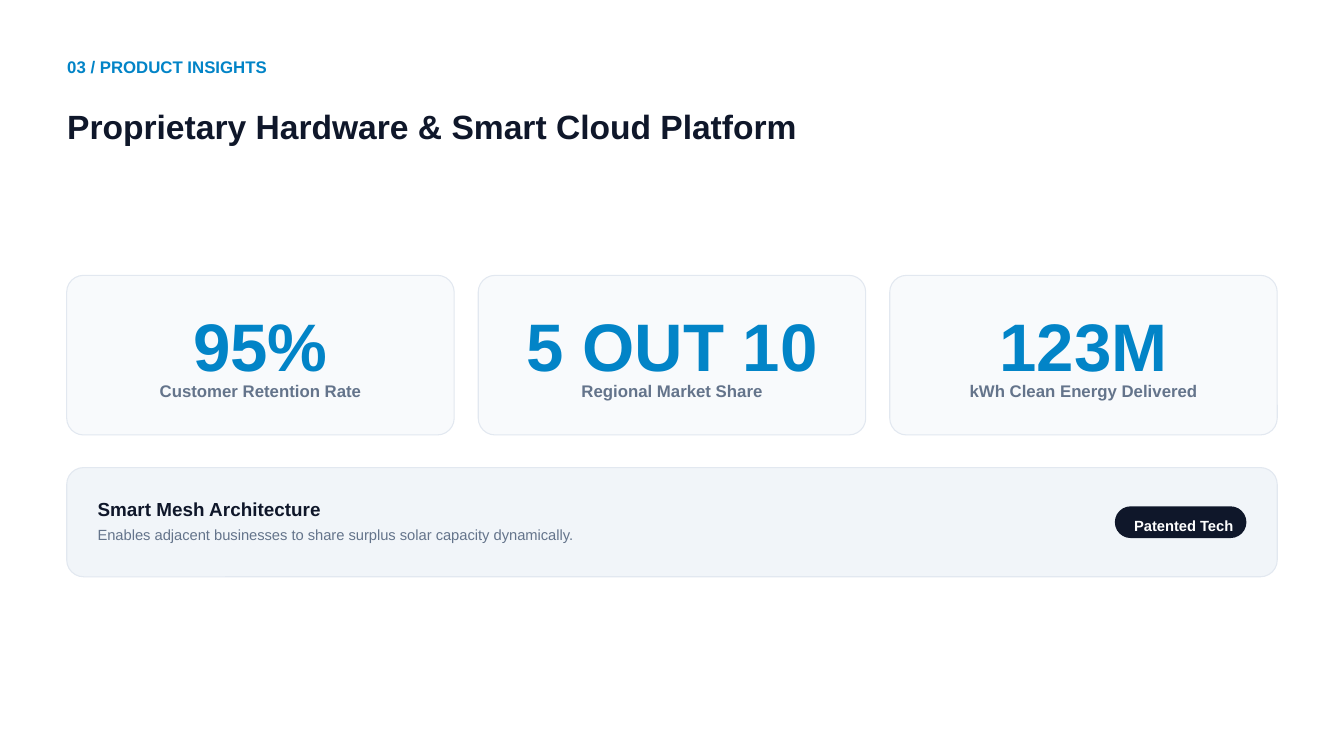
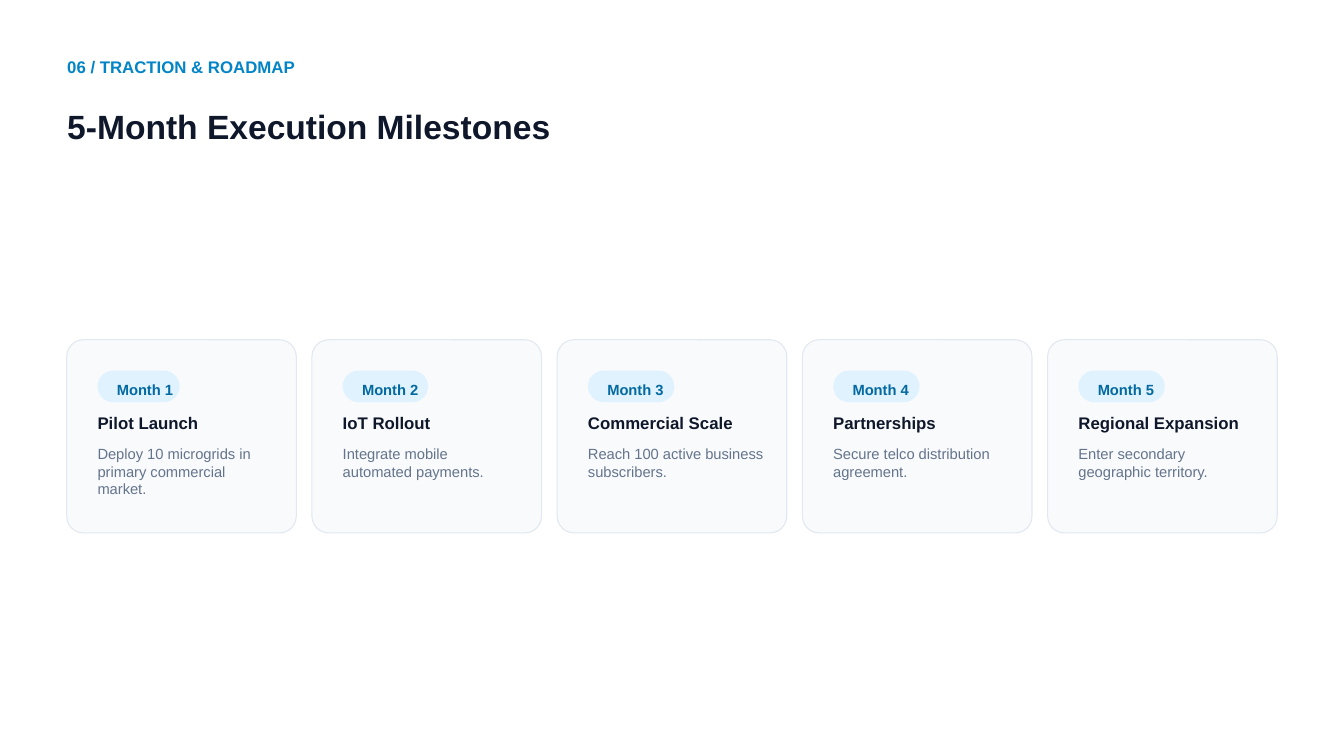
import pptx
import pptx.dml.color
import pptx.enum.shapes
import pptx.enum.text
import pptx.util

Pt = pptx.util.Pt
ALIGN = pptx.enum.text.PP_ALIGN

COLORS = {
    "page": "FFFFFF",
    "ink": "0F172A",
    "accent": "0284C7",
    "muted": "64748B",
    "card": "F8FAFC",
    "banner": "F1F5F9",
    "border": "E2E8F0",
    "tag": "E0F2FE",
    "tag_text": "0369A1",
}
FONT = "Arial"
SLIDE_WIDTH, SLIDE_HEIGHT = 1440, 810
CONTENT_LEFT, CONTENT_WIDTH = 71.5, 1297
PADDING = 33
CARD_RADIUS = 18
PILL_HEIGHT = 34
SMALL, MEDIUM, LARGE = 15.75, 18, 20.25

STATS = [
    ("95%", "Customer Retention Rate"),
    ("5 OUT 10", "Regional Market Share"),
    ("123M", "kWh Clean Energy Delivered"),
]
MILESTONES = [
    ("Month 1", 88, "Pilot Launch", "Deploy 10 microgrids in primary commercial market."),
    ("Month 2", 91.5, "IoT Rollout", "Integrate mobile automated payments."),
    ("Month 3", 92.5, "Commercial Scale", "Reach 100 active business subscribers."),
    ("Month 4", 92.5, "Partnerships", "Secure telco distribution agreement."),
    ("Month 5", 92.5, "Regional Expansion", "Enter secondary geographic territory."),
]


def rgb(name):
    """Return the named colour."""
    return pptx.dml.color.RGBColor.from_string(COLORS[name])


def write(frame, text, size, color, bold=True, align=ALIGN.LEFT, leading=1.2):
    """Write one styled paragraph with fixed line spacing into a text frame."""
    frame.vertical_anchor = pptx.enum.text.MSO_ANCHOR.TOP
    paragraph = frame.paragraphs[0]
    paragraph.alignment = align
    paragraph.line_spacing = Pt(size * leading)
    run = paragraph.add_run()
    run.text = text
    run.font.name = FONT
    run.font.size = Pt(size)
    run.font.bold = bold
    run.font.color.rgb = rgb(color)


def add_text(slide, left, top, width, height, text, size, color, **style):
    """Add a wrapping text box without margins."""
    box = slide.shapes.add_textbox(Pt(left), Pt(top), Pt(width), Pt(height))
    frame = box.text_frame
    frame.margin_left = frame.margin_right = frame.margin_top = frame.margin_bottom = 0
    frame.word_wrap = True
    write(frame, text, size, color, **style)


def add_panel(slide, left, top, width, height, fill, radius=CARD_RADIUS, border="border"):
    """Add a rounded panel with a fixed corner radius."""
    panel = slide.shapes.add_shape(
        pptx.enum.shapes.MSO_SHAPE.ROUNDED_RECTANGLE, Pt(left), Pt(top), Pt(width), Pt(height)
    )
    panel.adjustments[0] = radius / min(width, height)
    panel.shadow.inherit = False
    panel.fill.solid()
    panel.fill.fore_color.rgb = rgb(fill)
    if border:
        panel.line.color.rgb = rgb(border)
        panel.line.width = Pt(1.13)
    else:
        panel.line.fill.background()
    return panel


def add_pill(slide, left, top, width, label, fill, color):
    """Add a pill that holds a short label."""
    pill = add_panel(slide, left, top, width, PILL_HEIGHT, fill, PILL_HEIGHT / 2, None)
    frame = pill.text_frame
    frame.margin_left, frame.margin_top = Pt(15.75), Pt(6.5)
    frame.margin_right = frame.margin_bottom = 0
    frame.word_wrap = False
    write(frame, label, SMALL, color)


def columns(count, gap):
    """Return the left edges and the width of equal columns across the content."""
    width = (CONTENT_WIDTH - gap * (count - 1)) / count
    return [CONTENT_LEFT + i * (width + gap) for i in range(count)], width


def add_page(deck, section, title):
    """Add a blank slide with the section label and title."""
    slide = deck.slides.add_slide(deck.slide_layouts[6])
    slide.background.fill.solid()
    slide.background.fill.fore_color.rgb = rgb("page")
    add_text(slide, 72, 61, 1368, 25, section, MEDIUM, "accent")
    add_text(slide, 72, 105, 1368, 51, title, 36, "ink", leading=1.44)
    return slide


def add_stat(slide, left, top, width, height, figure, caption):
    """Add a card with a large figure above its caption."""
    add_panel(slide, left, top, width, height, "card")
    text_left, text_width = left - 10, width + 20
    add_text(slide, text_left, top + 31, text_width, 74, figure, 72, "accent", align=ALIGN.CENTER)
    add_text(slide, text_left, top + 112.5, text_width, 25, caption, MEDIUM, "muted",
             align=ALIGN.CENTER)


def add_banner(slide, left, top, width, height, heading, detail, badge):
    """Add a full-width banner with a badge at its right end."""
    add_panel(slide, left, top, width, height, "banner")
    add_text(slide, left + PADDING, top + 32.5, 694, 27, heading, LARGE, "ink")
    add_text(slide, left + PADDING, top + 62.5, 661, 21, detail, SMALL, "muted", bold=False)
    badge_width = 141
    add_pill(slide, left + width - PADDING - badge_width, top + (height - PILL_HEIGHT) / 2,
             badge_width, badge, "ink", "page")


def add_milestone(slide, left, top, width, height, month, month_width, heading, detail):
    """Add a card with a month pill, a heading and a detail."""
    add_panel(slide, left, top, width, height, "card")
    inner = left + PADDING
    add_pill(slide, inner, top + PADDING, month_width, month, "tag", "tag_text")
    add_text(slide, inner, top + 78.5, 235, 25, heading, MEDIUM, "ink")
    add_text(slide, inner, top + 112.5, 191, 61, detail, SMALL, "muted", bold=False)


def build_insights(deck):
    """Build the product insights slide."""
    slide = add_page(deck, "03 / PRODUCT INSIGHTS", "Proprietary Hardware & Smart Cloud Platform")
    lefts, width = columns(len(STATS), 25.75)
    for left, stat in zip(lefts, STATS):
        add_stat(slide, left, 295, width, 171, *stat)
    add_banner(slide, CONTENT_LEFT, 501, CONTENT_WIDTH, 117, "Smart Mesh Architecture",
               "Enables adjacent businesses to share surplus solar capacity dynamically.",
               "Patented Tech")


def build_roadmap(deck):
    """Build the traction and roadmap slide."""
    slide = add_page(deck, "06 / TRACTION & ROADMAP", "5-Month Execution Milestones")
    lefts, width = columns(len(MILESTONES), 16.75)
    for left, milestone in zip(lefts, MILESTONES):
        add_milestone(slide, left, 364, width, 207, *milestone)


def main():
    """Build and save the presentation."""
    deck = pptx.Presentation()
    deck.slide_width, deck.slide_height = Pt(SLIDE_WIDTH), Pt(SLIDE_HEIGHT)
    build_insights(deck)
    build_roadmap(deck)
    deck.save("out.pptx")


if __name__ == "__main__":
    main()
